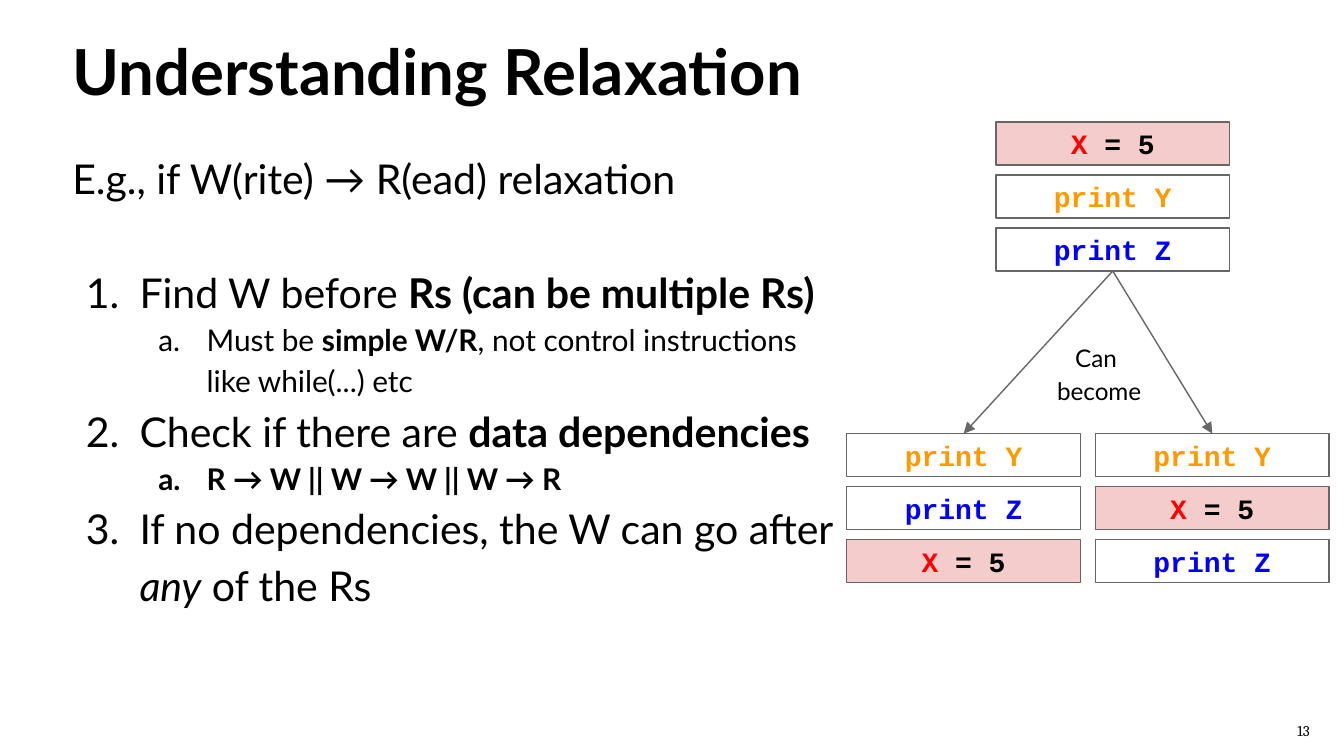
from dataclasses import dataclass

from lxml.etree import SubElement
from pptx import Presentation
from pptx.dml.color import RGBColor
from pptx.enum.shapes import MSO_CONNECTOR as Connector, MSO_SHAPE as Shape
from pptx.enum.text import MSO_ANCHOR as Anchor, PP_ALIGN as Align
from pptx.oxml.ns import qn
from pptx.util import Pt


@dataclass(frozen=True)
class Theme:
    black: str = "000000"
    white: str = "FFFFFF"
    red: str = "FF0000"
    orange: str = "FF9900"
    blue: str = "0000FF"
    pink: str = "F4CCCC"
    gray: str = "666666"
    text_font: str = "Lato"
    code_font: str = "Courier New"
    number_font: str = "Cambria"
    title_size: float = 34
    body_size: float = 22
    detail_size: float = 16
    code_size: float = 15
    label_size: float = 13
    number_size: float = 8


THEME = Theme()
INSET = 7.2
LINE_SPACING = 1.15
LINE_WIDTH = 0.75
BOX_WIDTH, BOX_HEIGHT, BOX_PITCH = 125.3, 23, 28.4

WRITE_X = (THEME.pink, [("X", THEME.red), (" = 5", THEME.black)])
READ_Y = (THEME.white, [("print Y", THEME.orange)])
READ_Z = (THEME.white, [("print Z", THEME.blue)])

NUMBERING = {0: ("arabicPeriod", 36, -28.8), 1: ("alphaLcPeriod", 72, -25.9)}
STEPS = [
    (0, [("Find W before ", ""), ("Rs (can be multiple Rs)", "b")]),
    (1, [("Must be ", ""), ("simple W/R", "b"),
         (", not control instructions like while(…) etc".replace("…", "..."), "")]),
    (0, [("Check if there are ", ""), ("data dependencies", "b")]),
    (1, [("R → W || W → W || W → R", "b")]),
    (0, [("If no dependencies, the W can go after ", ""), ("any", "i"), (" of the Rs", "")]),
]


def color(value):
    return RGBColor.from_string(value)


def format_run(run, size, font=THEME.text_font, fill=THEME.black, bold=False, italic=False):
    run.font.size = Pt(size)
    run.font.name = font
    run.font.color.rgb = color(fill)
    run.font.bold = bold
    run.font.italic = italic


def prepare_frame(shape, anchor):
    frame = shape.text_frame
    frame.word_wrap = True
    frame.vertical_anchor = anchor
    frame.margin_left = frame.margin_right = Pt(INSET)
    frame.margin_top = frame.margin_bottom = Pt(INSET)
    return frame


def add_text(slide, bounds, text, size, align=Align.LEFT, anchor=Anchor.TOP,
             spacing=1.0, **style):
    shape = slide.shapes.add_textbox(*map(Pt, bounds))
    frame = prepare_frame(shape, anchor)
    frame.text = text
    for paragraph in frame.paragraphs:
        paragraph.alignment = align
        paragraph.line_spacing = spacing
        for run in paragraph.runs:
            format_run(run, size, **style)
    return frame


def number_paragraph(paragraph, level):
    scheme, margin, indent = NUMBERING[level]
    paragraph.level = level
    properties = paragraph._p.get_or_add_pPr()
    properties.set("marL", str(Pt(margin)))
    properties.set("indent", str(Pt(indent)))
    bullet_color = SubElement(properties, qn("a:buClr"))
    SubElement(bullet_color, qn("a:srgbClr"), val=THEME.black)
    SubElement(properties, qn("a:buAutoNum"), type=scheme)


def add_step(frame, level, parts):
    paragraph = frame.add_paragraph()
    paragraph.line_spacing = LINE_SPACING
    number_paragraph(paragraph, level)
    size = THEME.detail_size if level else THEME.body_size
    for text, style in parts:
        run = paragraph.add_run()
        run.text = text
        format_run(run, size, bold=style == "b", italic=style == "i")


def add_instruction(slide, left, top, instruction):
    fill, parts = instruction
    box = slide.shapes.add_shape(
        Shape.RECTANGLE, Pt(left), Pt(top), Pt(BOX_WIDTH), Pt(BOX_HEIGHT))
    box.shadow.inherit = False
    box.fill.solid()
    box.fill.fore_color.rgb = color(fill)
    box.line.color.rgb = color(THEME.gray)
    box.line.width = Pt(LINE_WIDTH)
    paragraph = prepare_frame(box, Anchor.MIDDLE).paragraphs[0]
    paragraph.alignment = Align.CENTER
    for text, text_color in parts:
        run = paragraph.add_run()
        run.text = text
        format_run(run, THEME.code_size, THEME.code_font, text_color, bold=True)
    return box


def add_program(slide, left, top, instructions):
    return [add_instruction(slide, left, top + row * BOX_PITCH, instruction)
            for row, instruction in enumerate(instructions)]


def add_arrow(slide, source, target):
    arrow = slide.shapes.add_connector(Connector.STRAIGHT, 0, 0, 0, 0)
    arrow.begin_connect(source, 2)
    arrow.end_connect(target, 0)
    arrow.line.color.rgb = color(THEME.gray)
    arrow.line.width = Pt(LINE_WIDTH)
    SubElement(arrow.line._get_or_add_ln(), qn("a:tailEnd"), type="triangle")
    SubElement(arrow._element.spPr, qn("a:effectLst"))


def main():
    presentation = Presentation()
    presentation.slide_width, presentation.slide_height = Pt(720), Pt(405)
    slide = presentation.slides.add_slide(presentation.slide_layouts[6])

    add_text(slide, (31.7, 10.1, 591.8, 50.4), "Understanding Relaxation",
             THEME.title_size, bold=True)
    body = add_text(slide, (31.7, 71.3, 429.8, 271.4),
                    "E.g., if W(rite) → R(ead) relaxation",
                    THEME.body_size, spacing=LINE_SPACING)
    body.paragraphs[0].space_after = Pt(30.4)
    for level, parts in STEPS:
        add_step(body, level, parts)
    add_text(slide, (676.8, 380.2, 43.2, 22.3), "13", THEME.number_size,
             Align.CENTER, Anchor.MIDDLE, font=THEME.number_font)

    before = add_program(slide, 533.5, 65.4, [WRITE_X, READ_Y, READ_Z])
    for left, order in ((453.6, [READ_Y, READ_Z, WRITE_X]),
                        (586.8, [READ_Y, WRITE_X, READ_Z])):
        after = add_program(slide, left, 232.3, order)
        add_arrow(slide, before[-1], after[0])
    add_text(slide, (547.2, 174.2, 79.9, 48.2), "Can\n become",
             THEME.label_size, Align.CENTER, spacing=LINE_SPACING)

    presentation.save("out.pptx")


if __name__ == "__main__":
    main()
